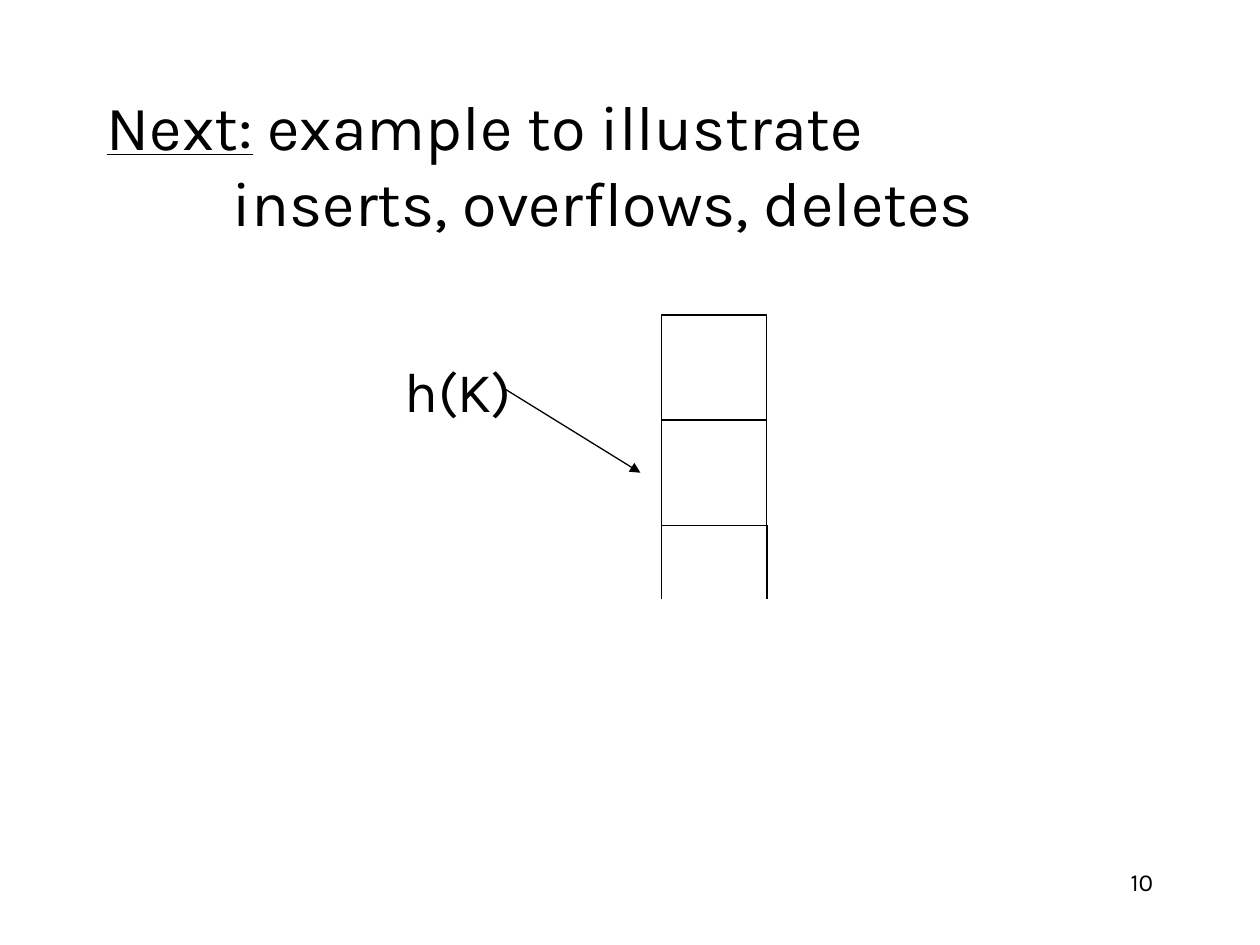
from lxml.etree import SubElement
from pptx import Presentation
from pptx.dml.color import RGBColor
from pptx.enum.shapes import MSO_CONNECTOR, MSO_SHAPE
from pptx.enum.text import MSO_ANCHOR, PP_ALIGN
from pptx.oxml.ns import qn
from pptx.util import Cm, Pt

COLORS = {"ink": "000000", "paper": "FFFFFF"}


class Deck:
    font = "Karla"
    line_width = Pt(0.75)

    def __init__(self, slide):
        self.s = slide

    def color(self, name):
        return RGBColor.from_string(COLORS[name])

    def run(self, p, text, size, underline=False):
        r = p.add_run()
        r.text = text
        r.font.name = self.font
        r.font.size = Pt(size)
        r.font.underline = underline
        r.font.color.rgb = self.color("ink")

    def title(self, left, top, width, height, lines, size, indent):
        sp = self.s.shapes.title
        sp.left, sp.top, sp.width, sp.height = map(Cm, (left, top, width, height))
        tf = sp.text_frame
        tf.word_wrap = True
        tf.vertical_anchor = MSO_ANCHOR.MIDDLE
        for i, parts in enumerate(lines):
            p = tf.add_paragraph() if i else tf.paragraphs[0]
            p.alignment = PP_ALIGN.LEFT
            if i:
                p.space_before = Pt(0)
                p._p.get_or_add_pPr().set("marL", str(Cm(indent)))
            for text, underline in parts:
                self.run(p, text, size, underline)

    def text(self, left, top, width, height, text, size,
             align=PP_ALIGN.LEFT, anchor=MSO_ANCHOR.TOP):
        sp = self.s.shapes.add_textbox(Cm(left), Cm(top), Cm(width), Cm(height))
        tf = sp.text_frame
        tf.word_wrap = True
        tf.vertical_anchor = anchor
        p = tf.paragraphs[0]
        p.alignment = align
        self.run(p, text, size)

    def box(self, left, top, side):
        sp = self.s.shapes.add_shape(
            MSO_SHAPE.RECTANGLE, Cm(left), Cm(top), Cm(side), Cm(side))
        sp.shadow.inherit = False
        sp.fill.solid()
        sp.fill.fore_color.rgb = self.color("paper")
        sp.line.color.rgb = self.color("ink")
        sp.line.width = self.line_width

    def line(self, x1, y1, x2, y2, arrow=False):
        sp = self.s.shapes.add_connector(
            MSO_CONNECTOR.STRAIGHT, Cm(x1), Cm(y1), Cm(x2), Cm(y2))
        sp.line.color.rgb = self.color("ink")
        sp.line.width = self.line_width
        if arrow:
            SubElement(sp.line._get_or_add_ln(), qn("a:tailEnd"), type="triangle")
        SubElement(sp._element.spPr, qn("a:effectLst"))


def main():
    prs = Presentation()
    prs.slide_width, prs.slide_height = Cm(25.4), Cm(19.05)
    deck = Deck(prs.slides.add_slide(prs.slide_layouts[5]))

    deck.text(18.2, 17.35, 5.3, 1.27, "10", 14, PP_ALIGN.RIGHT)
    deck.title(1.9, 1.7, 21.6, 3.18, [
        [("Next:", True), (" example to illustrate", False)],
        [("inserts, overflows, deletes", False)],
    ], 36, 2.54)
    deck.text(7.9, 7.11, 3.2, 1.52, "h(K)", 32, anchor=MSO_ANCHOR.MIDDLE)

    left, top, side, count = 13.34, 6.35, 2.12, 2
    for i in range(count):
        deck.box(left, top + i * side, side)
    for x in (left, left + side):
        deck.line(x, top + count * side, x, 12.07)
    deck.line(10.16, 7.83, 12.91, 9.53, arrow=True)

    prs.save("out.pptx")


if __name__ == "__main__":
    main()
